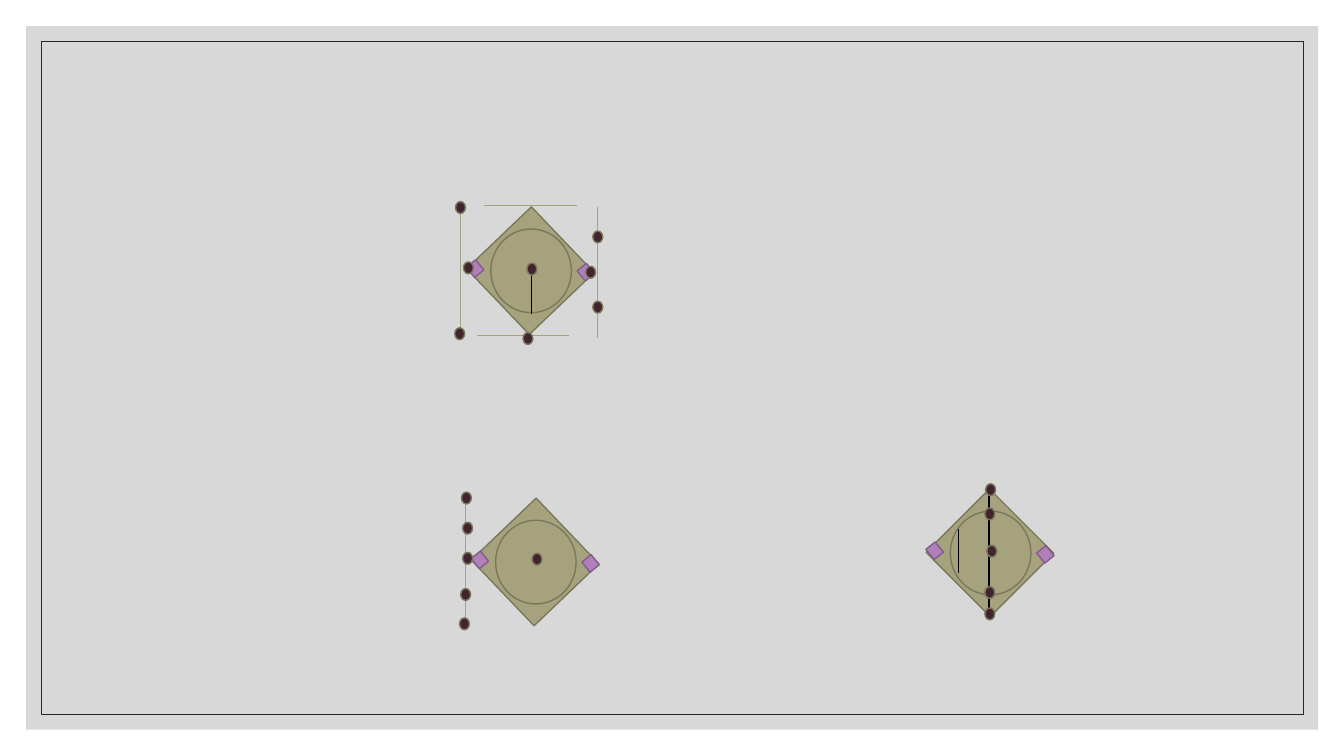
from lxml.etree import SubElement
from pptx import Presentation
from pptx.dml.color import RGBColor
from pptx.enum.shapes import MSO_CONNECTOR, MSO_SHAPE
from pptx.oxml.ns import qn
from pptx.util import Cm, Pt

OLIVE, OLIVE_EDGE = "A5A27D", "7A785C"
PURPLE, PURPLE_EDGE = "B17FBA", "835E8A"
PLUM, BLACK = "41242D", "000000"
PANEL, BORDER = "BFBFBF", "262626"


def color(hex_code):
    """Turn a hex string into a colour value."""
    return RGBColor.from_string(hex_code)


def apply(target, formats):
    """Set each named attribute of the target."""
    for name, value in formats.items():
        setattr(target, name, value)


class Field:
    """Draws the parts of the diagram on one slide."""

    def __init__(self, slide):
        """Begin drawing straight on the slide."""
        self.slide = slide
        self.shapes = slide.shapes

    def open_group(self):
        """Send the following parts into a new group."""
        self.shapes = self.slide.shapes.add_group_shape().shapes

    def close_group(self):
        """Return to drawing straight on the slide."""
        self.shapes = self.slide.shapes

    def shape(self, kind, box, fill=None, edge=None, width=1, rotation=0):
        """Add a preset shape; box is left, top, width, height in cm."""
        part = self.shapes.add_shape(kind, *map(Cm, box))
        part.shadow.inherit = False
        part.rotation = rotation
        for paint, tone in ((part.fill, fill), (part.line.fill, edge)):
            if tone:
                paint.solid()
                paint.fore_color.rgb = color(tone)
            else:
                paint.background()
        if edge:
            part.line.width = Pt(width)
        return part

    def panel(self, box, tone, opacity):
        """Add a translucent backdrop."""
        backdrop = self.shape(MSO_SHAPE.RECTANGLE, box, fill=tone)
        rgb = next(backdrop.fill._xPr.iter(qn("a:srgbClr")))
        SubElement(rgb, qn("a:alpha"), val=str(opacity * 1000))

    def rule(self, start, end, tone=OLIVE, width=0.5):
        """Add a straight line between two points."""
        line = self.shapes.add_connector(
            MSO_CONNECTOR.STRAIGHT, *map(Cm, (*start, *end)))
        apply(line.line, {"width": Pt(width)})
        line.line.color.rgb = color(tone)
        SubElement(line._element.spPr, qn("a:effectLst"))

    def diamond(self, left, top, rotation=46.3):
        """Add a diamond with its inner circle and two side bases."""
        self.shape(MSO_SHAPE.RECTANGLE, (left, top, 2.29, 2.26),
                   OLIVE, OLIVE_EDGE, rotation=rotation)
        self.shape(MSO_SHAPE.OVAL, (left + 0.15, top + 0.08, 2.03, 2.11),
                   OLIVE, OLIVE_EDGE)
        for dx, dy in ((-0.41, 0.93), (2.38, 1.02)):
            self.shape(MSO_SHAPE.RECTANGLE, (left + dx, top + dy, 0.33, 0.3),
                       PURPLE, PURPLE_EDGE, rotation=50.9)

    def players(self, spots):
        """Add one dark dot at each left, top position."""
        for left, top in spots:
            self.shape(MSO_SHAPE.OVAL, (left, top, 0.25, 0.3),
                       PLUM, OLIVE_EDGE)


deck = Presentation()
apply(deck, {"slide_width": Cm(33.87), "slide_height": Cm(19.05)})
field = Field(deck.slides.add_slide(deck.slide_layouts[6]))

field.panel((0.66, 0.66, 32.56, 17.73), PANEL, opacity=60)
field.shape(MSO_SHAPE.RECTANGLE, (1.04, 1.04, 31.8, 16.97),
            edge=BORDER, width=0.5)

# Upper diamond with its surrounding lines
field.open_group()
field.rule((11.61, 5.18), (11.61, 8.46))
field.rule((15.06, 5.21), (15.06, 8.51))
field.diamond(12.22, 5.69)
field.rule((13.39, 6.78), (13.39, 7.9), BLACK, 1)
field.rule((12.19, 5.18), (14.55, 5.18))
field.rule((12.01, 8.46), (14.35, 8.46))
field.players([(13.18, 8.38), (14.94, 5.82), (14.94, 7.59), (14.76, 6.71),
               (11.68, 6.6), (11.46, 8.26), (11.48, 5.08), (13.28, 6.63)])
field.close_group()

# Lower left diamond with players along one line
field.rule((11.73, 12.5), (11.73, 15.8))
field.diamond(12.34, 13.03)
field.players([(11.66, 13.16), (11.61, 14.83), (11.66, 13.92),
               (11.58, 15.57), (11.63, 12.4), (13.41, 13.94)])

# Lower right diamond with players along its axis
field.diamond(23.8, 12.8, rotation=45)
field.rule((24.92, 12.32), (24.92, 15.49), BLACK, 1)
field.players([(24.82, 12.8), (24.82, 14.78), (24.82, 15.32),
               (24.84, 12.19), (24.87, 13.74)])
field.rule((24.16, 13.34), (24.16, 14.45), BLACK, 1)

deck.save("out.pptx")
